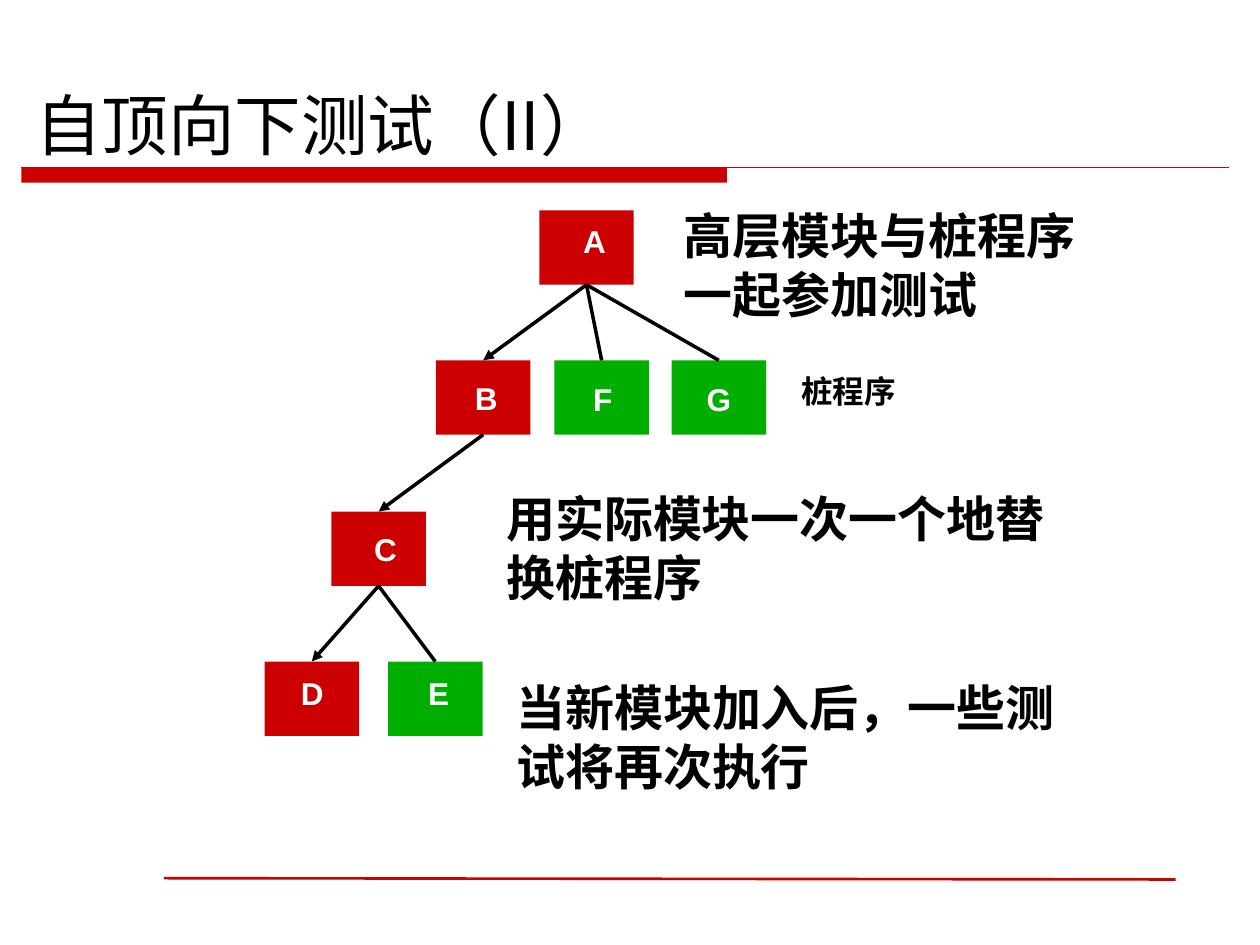
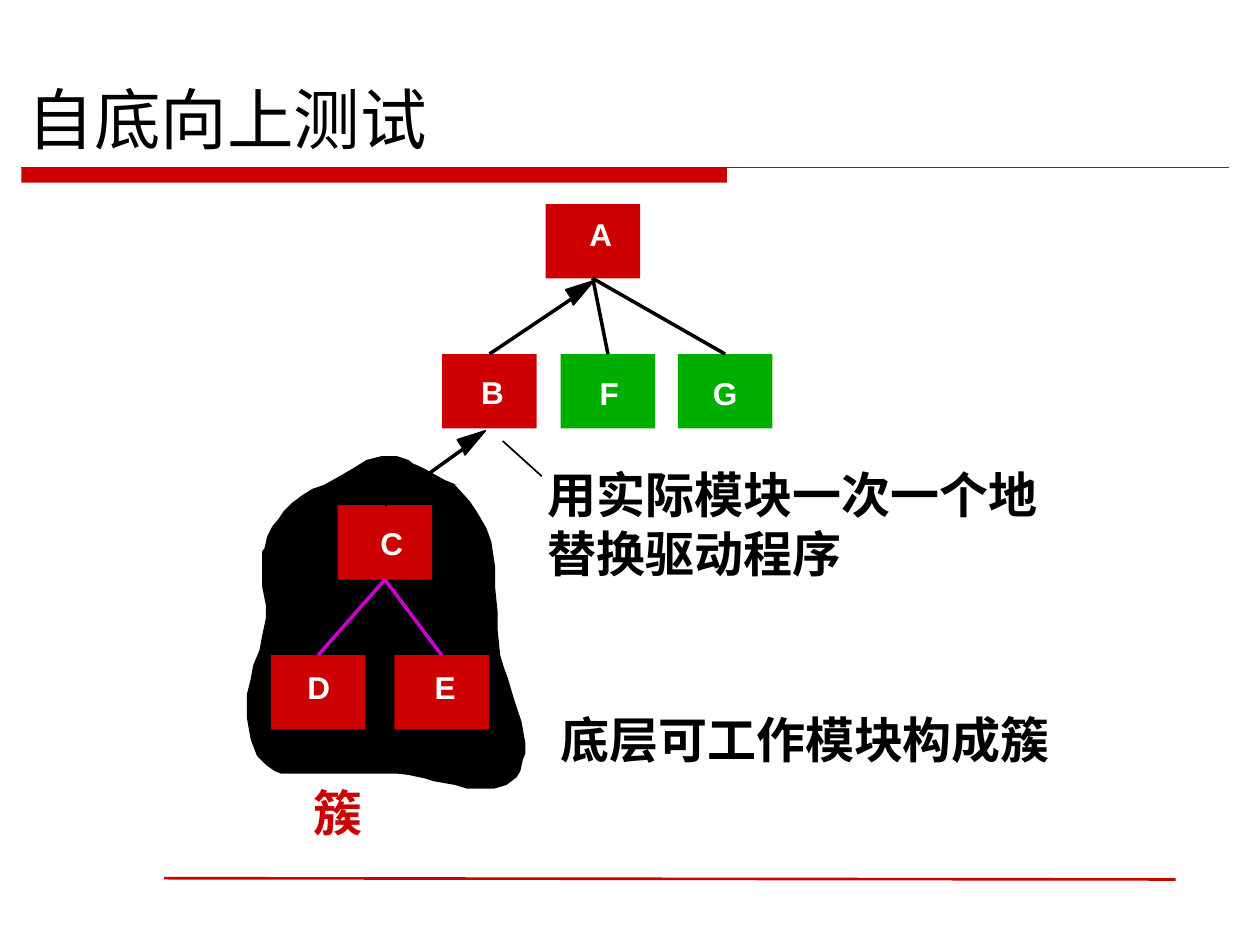
from dataclasses import dataclass

from lxml.etree import SubElement
from pptx import Presentation
from pptx.dml.color import RGBColor
from pptx.enum.shapes import MSO_CONNECTOR as Conn, MSO_SHAPE as Kind
from pptx.enum.text import MSO_ANCHOR as Anchor, MSO_AUTO_SIZE as Fit, PP_ALIGN as Align
from pptx.oxml.ns import qn
from pptx.util import Pt

PX = 9144
RED, GREEN, BLACK, WHITE, PINK = "CC0000", "00AE00", "000000", "FFFFFF", "CC00CC"
SANS, CJK = "Arial", "Noto Sans CJK SC"
TOP, BOTTOM = 0, 2
BOX_W, BOX_H = 75, 59


@dataclass
class Node:
    name: str
    x: int
    y: int
    dx: int
    dy: int


@dataclass
class Note:
    text: str
    x: int
    y: int
    w: int
    h: int
    size: int = 28
    hue: str = BLACK
    wrap: bool = True


NODES = [
    Node("A", 428, 167, 25, 4),
    Node("B", 346, 286, 21, 10),
    Node("C", 263, 406, 24, 10),
    Node("D", 210, 525, 19, 5),
    Node("E", 308, 525, 22, 5),
    Node("F", 440, 286, 21, 11),
    Node("G", 533, 286, 18, 11),
]

DOWN_NOTES = [
    Note("高层模块与桩程序一起参加测试", 533, 158, 333, 103),
    Note("用实际模块一次一个地替换桩程序", 392, 383, 483, 103),
    Note("当新模块加入后，一些测试将再次执行", 400, 533, 467, 103),
    Note("桩程序", 626, 290, 95, 40, 18, wrap=False),
]

UP_NOTES = [
    Note("用实际模块一次一个地替换驱动程序", 425, 364, 409, 103),
    Note("底层可工作模块构成簇", 435, 558, 414, 56, wrap=False),
    Note("簇", 239, 616, 59, 56, hue=RED, wrap=False),
]

CLUSTER = [
    (363, 385), (353, 381), (344, 376), (335, 371), (328, 368), (324, 365),
    (315, 362), (303, 362), (291, 365), (283, 370), (273, 376), (257, 385),
    (248, 388), (240, 393), (232, 399), (225, 406), (221, 412), (216, 418),
    (212, 426), (210, 435), (208, 438), (208, 465), (211, 480), (211, 491),
    (208, 505), (206, 516), (201, 528), (199, 539), (196, 551), (196, 570),
    (199, 587), (204, 600), (211, 607), (218, 612), (223, 614), (315, 614),
    (324, 615), (338, 618), (344, 620), (361, 623), (371, 626), (392, 626),
    (402, 623), (410, 617), (413, 612), (415, 603), (417, 598), (417, 590),
    (414, 573), (408, 555), (403, 538), (400, 530), (397, 520), (395, 500),
    (395, 486), (393, 466), (393, 450), (390, 430), (386, 419), (379, 407),
    (373, 398), (364, 388), (360, 384),
]


def tint(code: str) -> RGBColor:
    return RGBColor.from_string(code)


def style(part, size: int, hue: str, face: str, bold: bool) -> None:
    for run in part.runs:
        run.font.size = Pt(size)
        run.font.bold = bold
        run.font.name = face
        run.font.color.rgb = tint(hue)
        SubElement(run.font._element, qn("a:ea")).set("typeface", CJK)


def place(shape, x: int, y: int, w: int, h: int) -> None:
    shape.left, shape.top, shape.width, shape.height = (v * PX for v in (x, y, w, h))


def flat(shape, hue: str):
    shape.shadow.inherit = False
    shape.fill.solid()
    shape.fill.fore_color.rgb = tint(hue)
    shape.line.fill.background()
    return shape


def block(slide, x: int, y: int, w: int, h: int, hue: str):
    return flat(slide.shapes.add_shape(Kind.RECTANGLE, x * PX, y * PX, w * PX, h * PX), hue)


def shape_of(slide, points: list, hue: str):
    pen = slide.shapes.build_freeform(*points[0], scale=PX)
    pen.add_line_segments(points[1:], close=True)
    return flat(pen.convert_to_shape(), hue)


def stroke(slide, start: tuple, end: tuple, hue: str = BLACK, width: float = 2):
    line = slide.shapes.add_connector(Conn.STRAIGHT, *(v * PX for v in start + end))
    line.line.color.rgb = tint(hue)
    line.line.width = Pt(width)
    SubElement(line.element.spPr, qn("a:effectLst"))
    return line


def join(slide, boxes: dict, pair: str, hue: str = BLACK, arrow: bool = False) -> None:
    line = stroke(slide, (0, 0), (0, 0), hue)
    line.begin_connect(boxes[pair[0]], BOTTOM)
    line.end_connect(boxes[pair[1]], TOP)
    if arrow:
        SubElement(line.element.spPr.find(qn("a:ln")), qn("a:tailEnd")).set("type", "triangle")


def rise(slide, tip: tuple, child) -> None:
    x, y = tip
    head = shape_of(slide, [tip, (x - 16, y + 19), (x - 18, y + 13), (x - 22, y + 7)], BLACK)
    head.line.color.rgb = tint(BLACK)
    head.line.width = Pt(1)
    stroke(slide, (x - 17, y + 14), (0, 0)).end_connect(child, TOP)


def write(slide, note: Note) -> None:
    box = slide.shapes.add_textbox(*(v * PX for v in (note.x, note.y, note.w, note.h)))
    frame = box.text_frame
    frame.word_wrap = note.wrap
    frame.auto_size = Fit.SHAPE_TO_FIT_TEXT
    frame.text = note.text
    style(frame.paragraphs[0], note.size, note.hue, SANS, True)


def tree(slide, stubs: str, shift: int = 0) -> dict:
    boxes = {}
    for node in NODES:
        hue = GREEN if node.name in stubs else RED
        boxes[node.name] = block(slide, node.x + shift, node.y - shift, BOX_W, BOX_H, hue)
    return boxes


def label(slide, shift: int = 0) -> None:
    for node in NODES:
        x, y = node.x + node.dx + shift, node.y + node.dy - shift
        write(slide, Note(node.name, x, y, 38, 40, 18, WHITE, False))


def head(slide, text: str, x: int, y: int, w: int, h: int) -> None:
    title = slide.shapes.title
    place(title, x, y, w, h)
    frame = title.text_frame
    frame.text = text
    frame.vertical_anchor = Anchor.BOTTOM
    frame.auto_size = Fit.NONE
    frame.paragraphs[0].alignment = Align.LEFT
    style(frame.paragraphs[0], 38, BLACK, CJK, False)


def dress(layout, slide) -> None:
    parts = [
        block(slide, 17, 133, 560, 12, RED),
        stroke(slide, (17, 133), (975, 133), RED, 0.75),
        stroke(slide, (130, 697), (933, 698), RED, 1.5),
    ]
    for part in parts:
        layout.shapes.element.append(part.element)


def top_down(slide) -> None:
    head(slide, "自顶向下测试（II）", 18, 52, 673, 83)
    boxes = tree(slide, "EFG")
    for pair in ("CE", "AF", "AG"):
        join(slide, boxes, pair)
    for pair in ("AB", "BC", "CD"):
        join(slide, boxes, pair, arrow=True)
    label(slide)
    for note in DOWN_NOTES:
        write(slide, note)


def bottom_up(slide) -> None:
    head(slide, "自底向上测试", 12, 55, 712, 75)
    shape_of(slide, CLUSTER, BLACK)
    boxes = tree(slide, "FG", 5)
    rise(slide, (471, 223), boxes["B"])
    rise(slide, (385, 342), boxes["C"])
    for pair in ("CD", "CE"):
        join(slide, boxes, pair, PINK)
    for pair in ("AF", "AG"):
        join(slide, boxes, pair)
    label(slide, 5)
    for note in UP_NOTES:
        write(slide, note)
    stroke(slide, (399, 350), (430, 378), width=1)


def main() -> None:
    deck = Presentation()
    deck.slide_width, deck.slide_height = 1000 * PX, 750 * PX
    layout = deck.slide_layouts[5]
    first, second = (deck.slides.add_slide(layout) for _ in range(2))
    dress(layout, first)
    top_down(first)
    bottom_up(second)
    deck.save("out.pptx")


if __name__ == "__main__":
    main()
